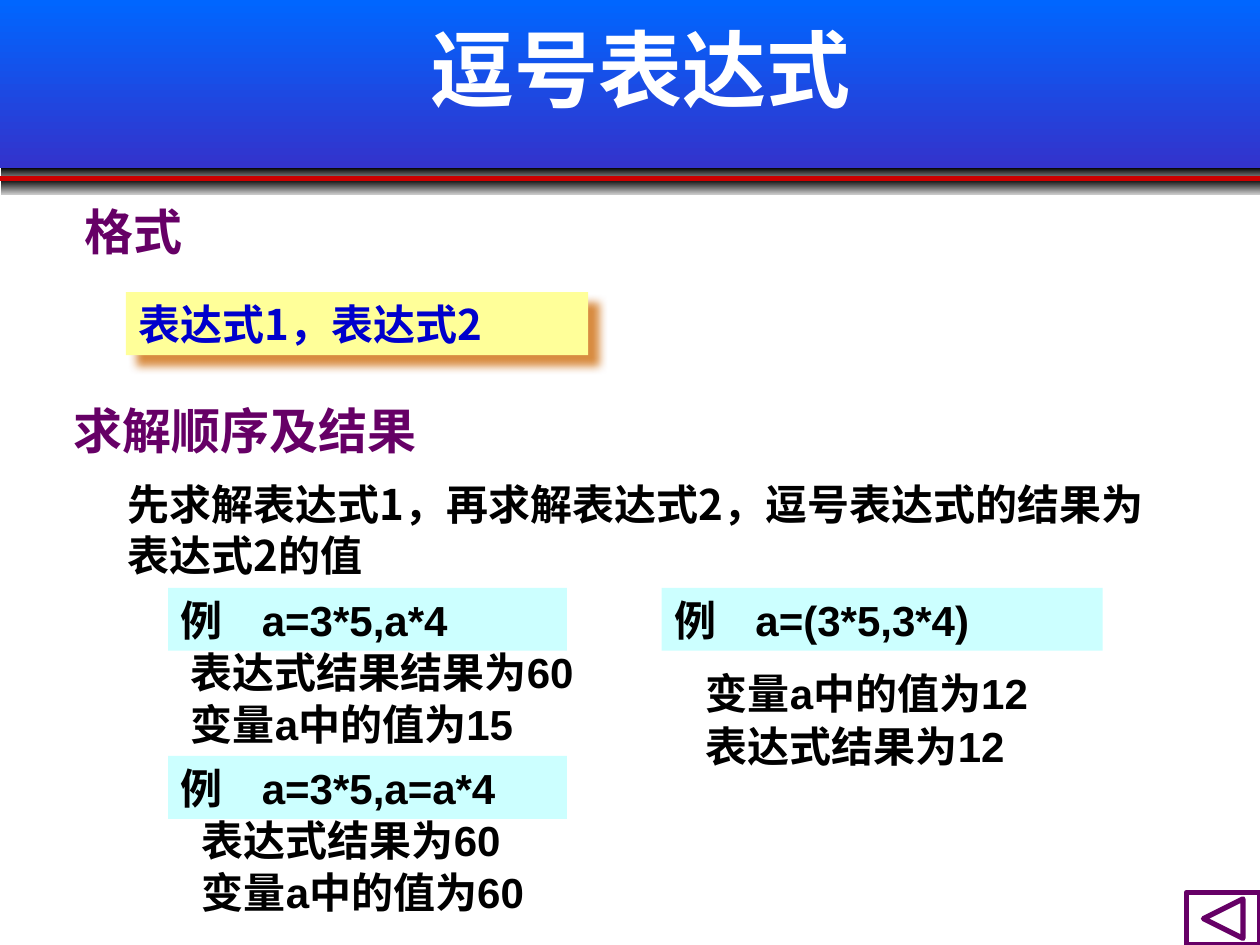
from typing import NamedTuple

from lxml import etree
from pptx import Presentation
from pptx.dml.color import RGBColor
from pptx.enum.shapes import MSO_CONNECTOR, MSO_SHAPE
from pptx.enum.text import MSO_ANCHOR, MSO_AUTO_SIZE, PP_ALIGN
from pptx.oxml.ns import qn
from pptx.util import Cm, Pt

RECTANGLE = MSO_SHAPE.RECTANGLE
BACK_BUTTON = MSO_SHAPE.ACTION_BUTTON_BACK_OR_PREVIOUS
STRAIGHT = MSO_CONNECTOR.STRAIGHT
TOP, MIDDLE = MSO_ANCHOR.TOP, MSO_ANCHOR.MIDDLE
LEFT, CENTER = PP_ALIGN.LEFT, PP_ALIGN.CENTER
GROW = MSO_AUTO_SIZE.SHAPE_TO_FIT_TEXT
NO_GROW = MSO_AUTO_SIZE.NONE

WHITE = RGBColor(0xFF, 0xFF, 0xFF)
BLACK = RGBColor(0x00, 0x00, 0x00)
GREY = RGBColor(0xC8, 0xC8, 0xC8)
SKY = RGBColor(0x00, 0x66, 0xFF)
INDIGO = RGBColor(0x33, 0x33, 0xCC)
RED = RGBColor(0xCC, 0x00, 0x00)
PURPLE = RGBColor(0x66, 0x00, 0x66)
BLUE = RGBColor(0x00, 0x00, 0xCC)
YELLOW = RGBColor(0xFF, 0xFF, 0x99)
ORANGE = RGBColor(0xCC, 0x66, 0x00)
CYAN = RGBColor(0xCC, 0xFF, 0xFF)

ARIAL = "Arial"
CHINESE = "Noto Sans CJK SC"
PAGE_WIDTH, PAGE_HEIGHT = 25.4, 19.05
LINE_HEIGHT = 1.27
FORMULA_TAB = 1.64


class Box(NamedTuple):
    left: float
    top: float
    width: float
    height: float

    def inner(self, left, top, width, height):
        return Box(self.left + left, self.top + top, width, height)

    def lengths(self):
        return [Cm(value) for value in self]


def add_panel(page, box, color=None, preset=RECTANGLE):
    panel = page.shapes.add_shape(preset, *box.lengths())
    panel.shadow.inherit = False
    panel.line.fill.background()
    if color is None:
        panel.fill.background()
    else:
        panel.fill.solid()
        panel.fill.fore_color.rgb = color
    return panel


def add_gradient(page, box, colors):
    panel = add_panel(page, box)
    panel.fill.gradient()
    panel.fill.gradient_angle = 270
    for stop, color in zip(panel.fill.gradient_stops, colors):
        stop.color.rgb = color


def add_shadow(panel, color):
    effects = panel._element.spPr.find(qn("a:effectLst"))
    shadow = etree.SubElement(effects, qn("a:outerShdw"), blurRad=str(Pt(5)),
                              dist=str(Pt(8.5)), dir="2700000", algn="ctr", rotWithShape="0")
    shade = etree.SubElement(shadow, qn("a:srgbClr"), val=str(color))
    etree.SubElement(shade, qn("a:alpha"), val="75000")


def add_tab(para, position):
    tabs = etree.SubElement(para._p.get_or_add_pPr(), qn("a:tabLst"))
    etree.SubElement(tabs, qn("a:tab"), pos=str(Cm(position)), algn="l")


def write(shape, lines, size=24, color=BLACK, font=ARIAL, align=LEFT,
          anchor=TOP, margin=0.25, tab=None, grow=GROW):
    frame = shape.text_frame
    frame.word_wrap = True
    frame.auto_size = grow
    frame.vertical_anchor = anchor
    frame.margin_left = frame.margin_right = Cm(margin)
    frame.margin_top = frame.margin_bottom = Cm(0.13)
    for index, line in enumerate(lines):
        para = frame.add_paragraph() if index else frame.paragraphs[0]
        para.alignment = align
        if index:
            para.space_before = Pt(1.2)
        if tab:
            add_tab(para, tab)
        span = para.add_run()
        span.text = line
        span.font.size = Pt(size)
        span.font.bold = True
        span.font.name = font
        span.font.color.rgb = color
        etree.SubElement(span._r.get_or_add_rPr(), qn("a:ea"), typeface=CHINESE)


def add_text(page, box, lines, **style):
    write(page.shapes.add_textbox(*box.lengths()), lines, **style)


def add_header(page, box, title):
    add_gradient(page, box.inner(0, 0, box.width, 3.38), (SKY, INDIGO))
    for top in (3.38, 3.61):
        add_gradient(page, box.inner(0.03, top, box.width - 0.03, 0.31), (BLACK, GREY))
    level = Cm(box.top + 3.6)
    rule = page.shapes.add_connector(STRAIGHT, Cm(box.left), level,
                                     Cm(box.left + box.width), level)
    rule.line.color.rgb = RED
    rule.line.width = Pt(3)
    etree.SubElement(rule._element.spPr, qn("a:effectLst"))
    add_text(page, box.inner(2.12, -0.21, 21.59, 3.18), [title], size=48, color=WHITE,
             align=CENTER, anchor=MIDDLE, grow=NO_GROW)


def add_heading(page, box, text, margin=0):
    add_text(page, box, [text], size=28, color=PURPLE, font=CHINESE,
             anchor=MIDDLE, margin=margin)


def add_format(page, box):
    add_heading(page, box.inner(0, 0, 6.15, 1.45), "格式")
    panel = add_panel(page, box.inner(0.84, 1.95, 9.32, LINE_HEIGHT), YELLOW)
    add_shadow(panel, ORANGE)
    write(panel, ["表达式1，表达式2"], color=BLUE, font=CHINESE)


def add_evaluation(page, box):
    add_heading(page, box.inner(0, 0, 14.17, 1.45), "求解顺序及结果", margin=0.22)
    add_text(page, box.inner(1.06, 1.57, 21.17, 2.29),
             ["先求解表达式1，再求解表达式2，逗号表达式的结果为表达式2的值"], font=CHINESE)


def add_example(page, box, formula, results, indent, drop, result_width):
    label = add_panel(page, box, CYAN)
    write(label, ["例\t" + formula], tab=FORMULA_TAB)
    add_text(page, box.inner(indent, drop, result_width, 2.33), results)


def add_back_button(page, box):
    button = add_panel(page, box, preset=BACK_BUTTON)
    button.line.color.rgb = PURPLE
    button.line.width = Pt(3)


def main():
    deck = Presentation()
    deck.slide_width, deck.slide_height = Cm(PAGE_WIDTH), Cm(PAGE_HEIGHT)
    page = deck.slides.add_slide(deck.slide_layouts[6])
    add_header(page, Box(0, 0, PAGE_WIDTH, 3.92), "逗号表达式")
    add_format(page, Box(1.7, 3.94, 10.16, 3.22))
    add_evaluation(page, Box(1.27, 7.95, 22.23, 3.86))
    add_example(page, Box(3.39, 11.85, 8.04, LINE_HEIGHT), "a=3*5,a*4",
                ["表达式结果结果为60", "变量a中的值为15"], 0.21, 1.05, 10.58)
    add_example(page, Box(3.39, 15.24, 8.04, LINE_HEIGHT), "a=3*5,a=a*4",
                ["表达式结果为60", "变量a中的值为60"], 0.43, 1.05, 10.58)
    add_example(page, Box(13.34, 11.85, 8.89, LINE_HEIGHT), "a=(3*5,3*4)",
                ["变量a中的值为12", "表达式结果为12"], 0.64, 1.48, 7.83)
    add_back_button(page, Box(PAGE_WIDTH - 1.48, PAGE_HEIGHT - 1.06, 1.48, 1.06))
    deck.save("out.pptx")


if __name__ == "__main__":
    main()
